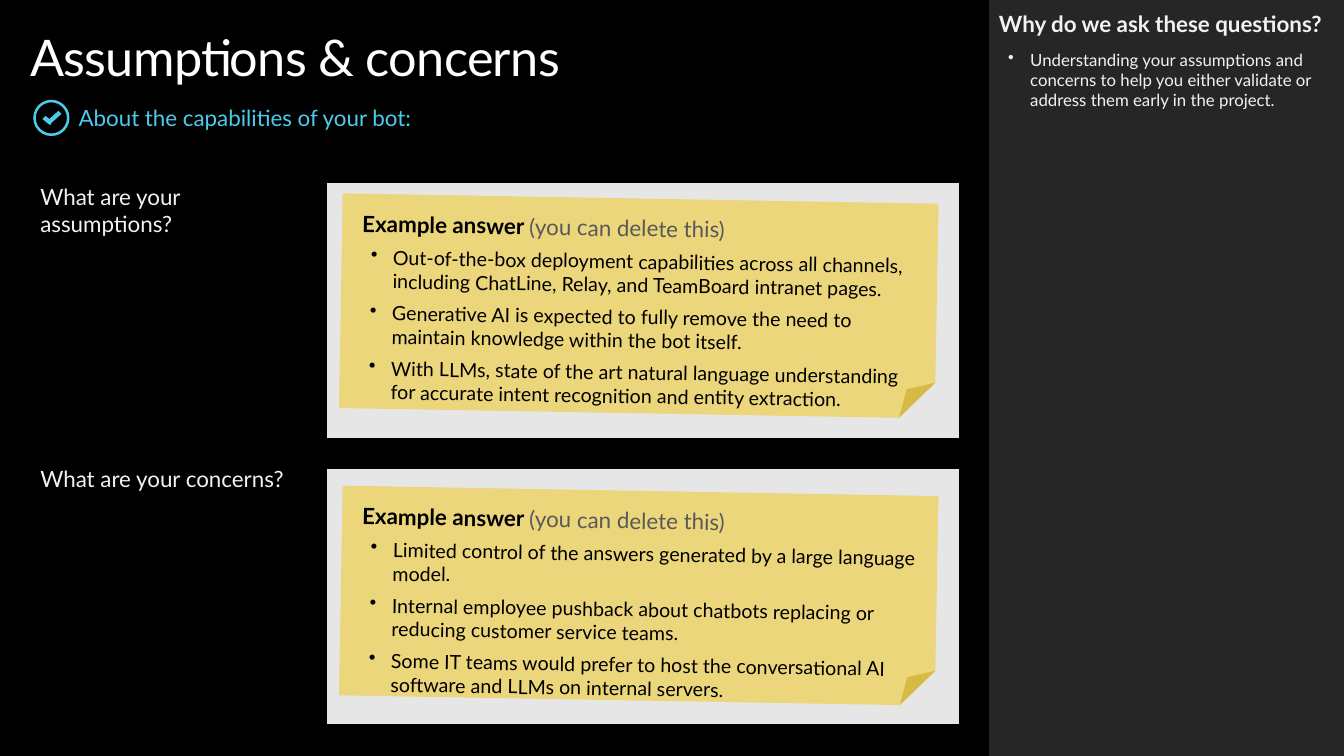
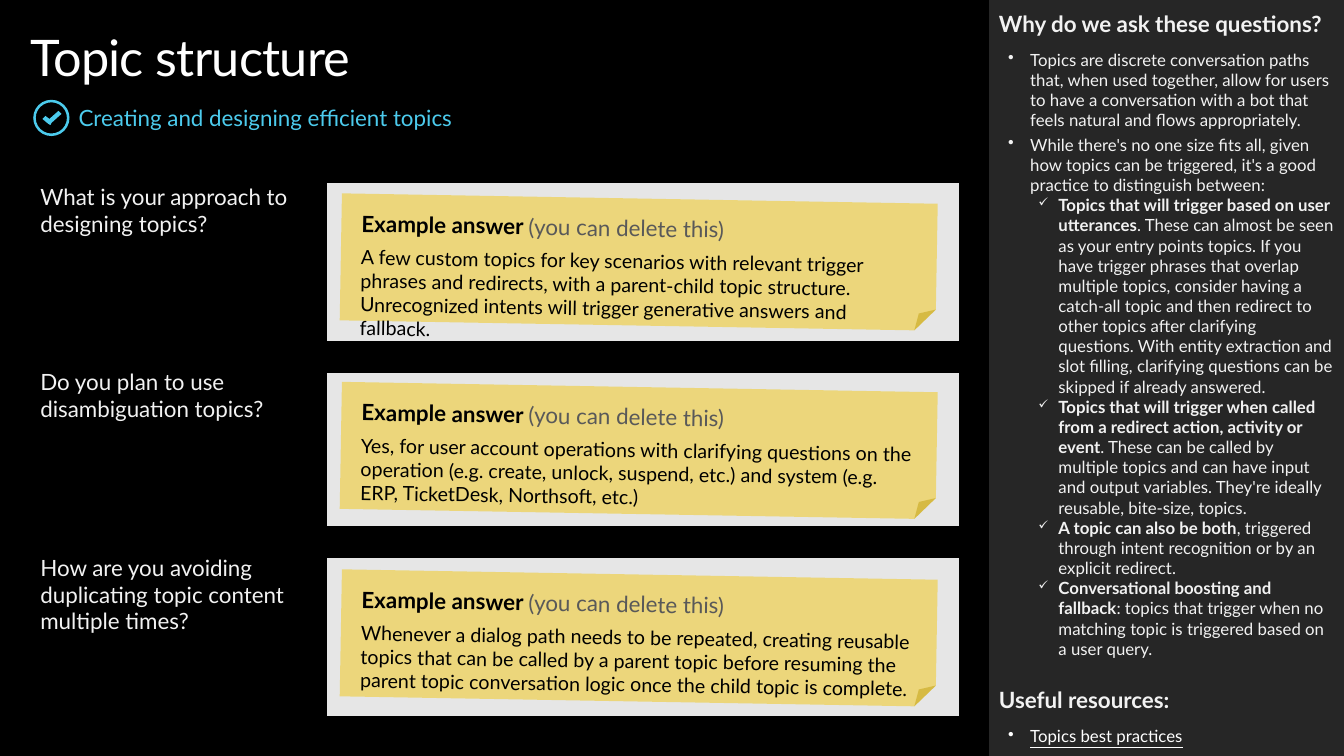
from lxml import etree
from pptx import Presentation
from pptx.dml.color import RGBColor
from pptx.enum.shapes import MSO_SHAPE
from pptx.enum.text import MSO_ANCHOR, PP_ALIGN
from pptx.oxml.ns import qn
from pptx.util import Inches, Pt

RECTANGLE, DONUT, FOLDED_CORNER = MSO_SHAPE.RECTANGLE, MSO_SHAPE.DONUT, MSO_SHAPE.FOLDED_CORNER
TOP, MIDDLE = MSO_ANCHOR.TOP, MSO_ANCHOR.MIDDLE
LEFT = PP_ALIGN.LEFT

BLACK = RGBColor(0x00, 0x00, 0x00)
WHITE = RGBColor(0xFF, 0xFF, 0xFF)
PANEL = RGBColor(0x26, 0x26, 0x26)
PALE = RGBColor(0xF2, 0xF2, 0xF2)
CYAN = RGBColor(0x4C, 0xCB, 0xED)
ANSWER_GREY = RGBColor(0xE6, 0xE6, 0xE6)
HINT_GREY = RGBColor(0x59, 0x59, 0x59)
NOTE_YELLOW = RGBColor(0xF2, 0xC8, 0x11)

FONT = "Lato"
NO_TABLE_STYLE = "{2D5ABB26-0587-4C30-8999-92F81FD0307C}"
SPACER_HEIGHT = 0.24
CHECK_POINTS = [(0.58, 1.1), (0.49, 1.18), (0.45, 1.15), (0.42, 1.18),
                (0.48, 1.23), (0.5, 1.24), (0.51, 1.22), (0.61, 1.13)]

TITLE = {"size": Pt(36), "color": WHITE}
SUBTITLE = {"size": Pt(16), "color": CYAN}
QUESTION = {"size": Pt(16), "color": PALE}
HEADING = {"size": Pt(16), "color": PALE, "bold": True}
BODY = {"size": Pt(12), "color": PALE}
STRONG = {**BODY, "bold": True}
LINK = {"size": Pt(12), "color": WHITE, "underline": True}
NOTE_HEADING = {"size": Pt(16), "color": BLACK, "bold": True}
NOTE_HINT = {"size": Pt(16), "color": HINT_GREY}
NOTE_BODY = {"size": Pt(14), "color": BLACK}

PLAIN = {}
SPACED = {"space_after": Pt(6)}
RESOURCES = {"space_before": Pt(20), "space_after": Pt(6)}
PANEL_BULLET = {"space_before": Pt(3), "bullet": ("•", 100, 0.31, 0.22)}
PANEL_CHECK = {"level": 1, "bullet": ("✓", 75, 0.59, 0.2)}
NOTE_BULLET = {"space_after": Pt(6), "bullet": ("•", 100, 0.31, 0.22)}

WHY = (SPACED, [("Why do we ask these questions?", HEADING)])

SLIDES = [
    {
        "title": "Assumptions & concerns",
        "subtitle": "About the capabilities of your bot:",
        "row_height": 2.56,
        "rows": [
            ("What are your assumptions?", 1.97, 2.13, NOTE_BULLET, [
                "Out-of-the-box deployment capabilities across all channels, including "
                "ChatLine, Relay, and TeamBoard intranet pages.",
                "Generative AI is expected to fully remove the need to maintain knowledge "
                "within the bot itself.",
                "With LLMs, state of the art natural language understanding for accurate "
                "intent recognition and entity extraction.",
            ]),
            ("What are your concerns?", 4.87, 2.08, NOTE_BULLET, [
                "Limited control of the answers generated by a large language model.",
                "Internal employee pushback about chatbots replacing or reducing customer "
                "service teams.",
                "Some IT teams would prefer to host the conversational AI software and LLMs "
                "on internal servers.",
            ]),
        ],
        "panel_height": 1.2,
        "panel": [
            WHY,
            (PANEL_BULLET, [("Understanding your assumptions and concerns to help you either "
                             "validate or address them early in the project.", BODY)]),
        ],
    },
    {
        "title": "Topic structure",
        "subtitle": "Creating and designing efficient topics",
        "row_height": 1.6,
        "rows": [
            ("What is your approach to designing topics?", 1.97, 1.26, SPACED, [
                "A few custom topics for key scenarios with relevant trigger phrases and "
                "redirects, with a parent-child topic structure. Unrecognized intents will "
                "trigger generative answers and fallback.",
            ]),
            ("Do you plan to use disambiguation topics?", 3.84, 1.26, SPACED, [
                "Yes, for user account operations with clarifying questions on the operation "
                "(e.g. create, unlock, suspend, etc.) and system (e.g. ERP, TicketDesk, "
                "Northsoft, etc.)",
            ]),
            ("How are you avoiding duplicating topic content multiple times?", 5.7, 1.26, SPACED, [
                "Whenever a dialog path needs to be repeated, creating reusable topics that "
                "can be called by a parent topic before resuming the parent topic "
                "conversation logic once the child topic is complete.",
            ]),
        ],
        "panel_height": 7.58,
        "panel": [
            WHY,
            (PANEL_BULLET, [("Topics are discrete conversation paths that, when used together, "
                             "allow for users to have a conversation with a bot that feels "
                             "natural and flows appropriately.", BODY)]),
            (PANEL_BULLET, [("While there's no one size fits all, given how topics can be "
                             "triggered, it's a good practice to distinguish between:", BODY)]),
            (PANEL_CHECK, [
                ("Topics that will trigger based on user utterances", STRONG),
                (". These can almost be seen as your entry points topics. If you have trigger "
                 "phrases that overlap multiple topics, consider having a catch-all topic and "
                 "then redirect to other topics after clarifying questions. With entity "
                 "extraction and slot filling, clarifying questions can be skipped if already "
                 "answered.", BODY)]),
            (PANEL_CHECK, [
                ("Topics that will trigger when called from a redirect action, activity or "
                 "event", STRONG),
                (". These can be called by multiple topics and can have input and output "
                 "variables. They're ideally reusable, bite-size, topics.", BODY)]),
            (PANEL_CHECK, [
                ("A topic can also be both", STRONG),
                (", triggered through intent recognition or by an explicit redirect.", BODY)]),
            (PANEL_CHECK, [
                ("Conversational boosting and fallback", STRONG),
                (": topics that trigger when no matching topic is triggered based on a user "
                 "query.", BODY)]),
            (RESOURCES, [("Useful resources:", HEADING)]),
            (PANEL_BULLET, [("Topics best practices", LINK)]),
        ],
    },
]


def write(frame, paragraphs, margins=(0, 0, 0, 0), anchor=TOP):
    frame.word_wrap = True
    frame.vertical_anchor = anchor
    for side, margin in zip(("left", "top", "right", "bottom"), margins):
        setattr(frame, f"margin_{side}", Inches(margin))
    for index, (layout, runs) in enumerate(paragraphs):
        paragraph = frame.add_paragraph() if index else frame.paragraphs[0]
        paragraph.alignment = LEFT
        for name, value in layout.items():
            if name != "bullet":
                setattr(paragraph, name, value)
                continue
            character, percent, margin, hanging = value
            properties = paragraph._p.get_or_add_pPr()
            properties.set("marL", str(Inches(margin)))
            properties.set("indent", str(-Inches(hanging)))
            etree.SubElement(properties, qn("a:buSzPct"), val=str(percent * 1000))
            etree.SubElement(properties, qn("a:buChar"), char=character)
        for text, style in runs:
            run = paragraph.add_run()
            run.text = text
            run.font.name = FONT
            for name, value in style.items():
                if name == "color":
                    run.font.color.rgb = value
                else:
                    setattr(run.font, name, value)


def paint(shape, color):
    shape.shadow.inherit = False
    shape.fill.solid()
    shape.fill.fore_color.rgb = color
    shape.line.fill.background()


presentation = Presentation()
presentation.slide_width = Inches(13.33)
presentation.slide_height = Inches(7.5)
background = presentation.slide_master.background.fill
background.solid()
background.fore_color.rgb = BLACK

for content in SLIDES:
    slide = presentation.slides.add_slide(presentation.slide_layouts[6])
    shapes = slide.shapes

    panel = shapes.add_shape(RECTANGLE, Inches(9.81), 0, Inches(3.53), Inches(7.52))
    paint(panel, PANEL)
    ring = shapes.add_shape(DONUT, Inches(0.33), Inches(0.99), Inches(0.36), Inches(0.36))
    ring.adjustments[0] = 0.07
    paint(ring, CYAN)
    points = [(Inches(x), Inches(y)) for x, y in CHECK_POINTS]
    builder = shapes.build_freeform(*points[0])
    builder.add_line_segments(points[1:])
    paint(builder.convert_to_shape(), CYAN)

    title = shapes.add_textbox(Inches(0.3), Inches(0.26), Inches(9.21), Inches(0.61))
    write(title.text_frame, [(PLAIN, [(content["title"], TITLE)])])
    title.text_frame.paragraphs[0].runs[0].font._element.set("spc", "-50")
    subtitle = shapes.add_textbox(Inches(0.78), Inches(1.03), Inches(8.73), Inches(0.27))
    write(subtitle.text_frame, [(PLAIN, [(content["subtitle"], SUBTITLE)])], anchor=MIDDLE)

    rows = content["rows"]
    row_count = 2 * len(rows) - 1
    heights = [SPACER_HEIGHT if index % 2 else content["row_height"] for index in range(row_count)]
    table = shapes.add_table(row_count, 2, Inches(0.4), Inches(1.82),
                             Inches(9.11), Inches(sum(heights))).table
    table.first_row = False
    table.horz_banding = False
    table._tbl.tblPr.find(qn("a:tableStyleId")).text = NO_TABLE_STYLE
    for column, width in zip(table.columns, (2.84, 6.27)):
        column.width = Inches(width)
    for row_index, height in enumerate(heights):
        table.rows[row_index].height = Inches(height)
        for column_index in range(2):
            cell = table.cell(row_index, column_index)
            cell.margin_left = cell.margin_top = cell.margin_bottom = 0
            cell.margin_right = Inches(0.1)
            for edge, present in (("a:lnT", row_index > 0), ("a:lnB", row_index < row_count - 1)):
                if present:
                    border = etree.SubElement(cell._tc.get_or_add_tcPr(), qn(edge), w=str(Pt(6)))
                    border_fill = etree.SubElement(border, qn("a:solidFill"))
                    etree.SubElement(border_fill, qn("a:srgbClr"), val=str(BLACK))
            if row_index % 2 == 0 and column_index == 0:
                cell.fill.background()
                write(cell.text_frame, [(PLAIN, [(rows[row_index // 2][0], QUESTION)])],
                      (0, 0, 0.1, 0))
            else:
                cell.fill.solid()
                cell.fill.fore_color.rgb = BLACK if row_index % 2 else ANSWER_GREY
                etree.SubElement(cell.text_frame.paragraphs[0]._p, qn("a:endParaRPr"), sz="1200")

    reasons = shapes.add_textbox(Inches(9.81), 0, Inches(3.53), Inches(content["panel_height"]))
    write(reasons.text_frame, content["panel"], (0.1, 0.1, 0.1, 0.1))

    for question, top, height, layout, answers in rows:
        note = shapes.add_shape(FOLDED_CORNER, Inches(3.38), Inches(top), Inches(5.91), Inches(height))
        note.rotation = 1
        paint(note, NOTE_YELLOW)
        note_color = note._element.spPr.find(qn("a:solidFill")).find(qn("a:srgbClr"))
        etree.SubElement(note_color, qn("a:alpha"), val="50000")
        heading = (SPACED, [("Example answer ", NOTE_HEADING), ("(you can delete this)", NOTE_HINT)])
        write(note.text_frame, [heading] + [(layout, [(answer, NOTE_BODY)]) for answer in answers],
              (0.2, 0.16, 0.2, 0.16))

presentation.save("out.pptx")
